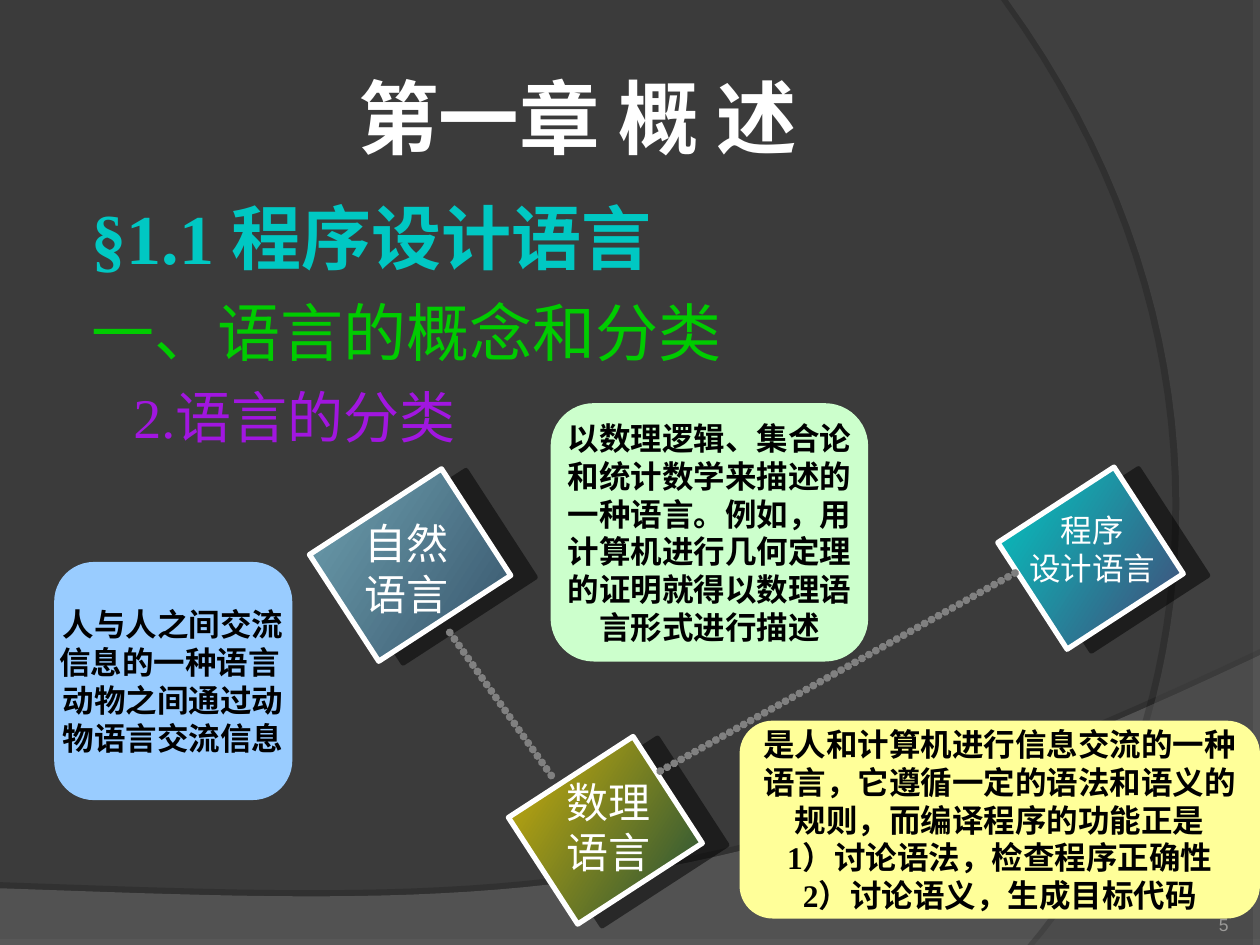
"""Build the slide on the classification of languages."""
from lxml.etree import SubElement
from pptx import Presentation
from pptx.dml.color import RGBColor
from pptx.enum.shapes import MSO_CONNECTOR, MSO_SHAPE
from pptx.enum.text import MSO_ANCHOR, MSO_AUTO_SIZE, PP_ALIGN
from pptx.oxml.ns import qn
from pptx.util import Inches, Pt

BACKGROUND = RGBColor(0x3B, 0x3B, 0x3B)
WAVE = RGBColor(0x7C, 0x7C, 0x7C)
ARC = RGBColor(0x59, 0x59, 0x59)
WHITE = RGBColor(0xFF, 0xFF, 0xFF)
BLACK = RGBColor(0, 0, 0)
GRAY = RGBColor(0x80, 0x80, 0x80)
PAGE_GRAY = RGBColor(0x9B, 0x9A, 0x98)
CYAN = RGBColor(0x00, 0xC8, 0xC3)
GREEN = RGBColor(0x00, 0xCC, 0x00)
PURPLE = RGBColor(0xA1, 0x16, 0xE0)
STEEL = RGBColor(0x6E, 0xA0, 0xB0)
NAVY = RGBColor(0x37, 0x55, 0x6B)
GOLD = RGBColor(0xCC, 0xAF, 0x0A)
FOREST = RGBColor(0x20, 0x4F, 0x3A)
INDIGO = RGBColor(0x47, 0x47, 0x76)
PALE_BLUE = RGBColor(0x99, 0xCC, 0xFF)
PALE_GREEN = RGBColor(0xCC, 0xFF, 0xCC)
PALE_YELLOW = RGBColor(0xFF, 0xFF, 0x99)

TITLE = "第一章 概 述"
OUTLINE = [
    ("§1.1 程序设计语言", dict(size=40, color=CYAN, bold=True, spacing=0.8, indent=(0.46, -0.42))),
    ("一、语言的概念和分类", dict(size=36, color=GREEN, before=9, indent=(0.46, -0.42))),
    ("2.语言的分类", dict(size=32, color=PURPLE, before=8, indent=(0.37, 0))),
]
LANGUAGES = [
    (["自然", "语言"], 24, (2.75, 3.86, 1.01, 1.25), (2.8, 4.06, 0.86, 0.9), STEEL, NAVY),
    (["数理", "语言"], 24, (4.3, 6, 1.01, 1.18), (4.4, 6.11, 0.86, 0.9), GOLD, FOREST),
    (["程序", "设计语言"], 18, (8.15, 3.88, 1.01, 1.1), (8.07, 4.01, 1.2, 0.7), CYAN, INDIGO),
]
LINKS = [(3.57, 5.02, 4.4, 6.19), (5.24, 6.12, 8.07, 4.54)]
NOTES = [
    (["人与人之间交流", "信息的一种语言 ", "动物之间通过动", "物语言交流信息"],
     (0.43, 4.46, 1.89, 1.89), PALE_BLUE, "Noto Sans CJK SC"),
    (["以数理逻辑、集合论", "和统计数学来描述的", "一种语言。例如，用",
      "计算机进行几何定理", "的证明就得以数理语", "言形式进行描述"],
     (4.37, 3.2, 2.52, 2.05), PALE_GREEN, "Arial"),
    (["是人和计算机进行信息交流的一种", "语言，它遵循一定的语法和语义的",
      "规则，而编译程序的功能正是", "1）讨论语法，检查程序正确性", "2）讨论语义，生成目标代码"],
     (5.87, 5.72, 4.13, 1.57), PALE_YELLOW, "Times New Roman"),
]
SWEEPS = [
    ([(0, 7.5), (10, 7.5)], [(10, 5.2), (5.59, 7.29), (3.91, 7.19), (0, 7.05)],
     WAVE, 45, (35, 3.5, 270)),
    ([(8, 0), (10, 0), (10, 7.5)], [(8.21, 7.5), (9.35, 6.19), (10.18, 3), (8, 0)],
     ARC, 40, (45, 4, 180)),
]
CURVE_STEPS = 40


def box(bounds):
    return [Inches(value) for value in bounds]


def write(paragraph, text, *, size, color, font="Times New Roman", bold=False,
          align=PP_ALIGN.LEFT, before=0, spacing=None, indent=None):
    paragraph.alignment = align
    paragraph.space_before = Pt(before)
    if spacing:
        paragraph.line_spacing = spacing
    if indent:
        properties = paragraph._p.get_or_add_pPr()
        properties.set("marL", str(Inches(indent[0])))
        properties.set("indent", str(Inches(indent[1])))
    run = paragraph.add_run()
    run.text = text
    run.font.size = Pt(size)
    run.font.color.rgb = color
    run.font.name = font
    run.font.bold = bold


def write_lines(frame, lines, **style):
    for index, line in enumerate(lines):
        paragraph = frame.add_paragraph() if index else frame.paragraphs[0]
        write(paragraph, line, **style)


def cast_shadow(shape, opacity, distance, direction):
    effects = SubElement(shape._element.spPr, qn("a:effectLst"))
    shadow = SubElement(effects, qn("a:outerShdw"), blurRad="0", dist=str(Pt(distance)),
                        dir=str(direction * 60000), algn="ctr", rotWithShape="0")
    color = SubElement(shadow, qn("a:srgbClr"), val=str(BLACK))
    SubElement(color, qn("a:alpha"), val=str(opacity * 1000))


def curve_points(controls):
    for step in range(CURVE_STEPS + 1):
        t = step / CURVE_STEPS
        weights = ((1 - t) ** 3, 3 * t * (1 - t) ** 2, 3 * t * t * (1 - t), t ** 3)
        yield tuple(sum(w * point[axis] for w, point in zip(weights, controls)) for axis in (0, 1))


def add_sweep(shapes, corners, controls, color, opacity, shadow):
    outline = [box(point) for point in corners + list(curve_points(controls))]
    builder = shapes.build_freeform(*outline[0])
    builder.add_line_segments(outline[1:], close=True)
    sweep = builder.convert_to_shape()
    sweep.fill.solid()
    sweep.fill.fore_color.rgb = color
    fill_color = sweep._element.spPr.find(qn("a:solidFill"))[0]
    SubElement(fill_color, qn("a:alpha"), val=str(opacity * 1000))
    sweep.line.fill.background()
    cast_shadow(sweep, *shadow)


def add_language(shapes, lines, size, bounds, label_bounds, light, dark):
    tile = shapes.add_shape(MSO_SHAPE.RECTANGLE, *box(bounds))
    tile.rotation = 57
    tile.fill.gradient()
    tile.fill.gradient_angle = 360 - 33
    for stop, color in zip(tile.fill.gradient_stops, (light, dark)):
        stop.color.rgb = color
    tile._element.spPr.find(qn("a:gradFill")).set("rotWithShape", "0")
    tile.line.color.rgb = WHITE
    tile.line.width = Pt(3)
    cast_shadow(tile, 50, 14, 4)
    label = shapes.add_textbox(*box(label_bounds)).text_frame
    label.margin_left = label.margin_right = 0
    label.word_wrap = False
    label.auto_size = MSO_AUTO_SIZE.SHAPE_TO_FIT_TEXT
    write_lines(label, lines, size=size, color=WHITE, font="Arial", align=PP_ALIGN.CENTER)


def add_link(shapes, ends):
    link = shapes.add_connector(MSO_CONNECTOR.STRAIGHT, *box(ends))
    link.line.color.rgb = GRAY
    link.line.width = Pt(4.5)
    stroke = link.line._get_or_add_ln()
    stroke.set("cap", "rnd")
    dots = SubElement(stroke, qn("a:custDash"))
    SubElement(dots, qn("a:ds"), d="100000", sp="1000")
    SubElement(link._element.spPr, qn("a:effectLst"))


def add_note(shapes, lines, bounds, color, font):
    note = shapes.add_shape(MSO_SHAPE.ROUNDED_RECTANGLE, *box(bounds))
    note.shadow.inherit = False
    note.fill.solid()
    note.fill.fore_color.rgb = color
    note.line.fill.background()
    note.text_frame.word_wrap = False
    note.text_frame.vertical_anchor = MSO_ANCHOR.MIDDLE
    write_lines(note.text_frame, lines, size=18, color=BLACK, font=font, bold=True,
                align=PP_ALIGN.CENTER)


def main():
    deck = Presentation()
    deck.slide_width, deck.slide_height = Inches(10), Inches(7.5)
    slide = deck.slides.add_slide(deck.slide_layouts[5])
    slide.background.fill.solid()
    slide.background.fill.fore_color.rgb = BACKGROUND
    shapes = slide.shapes
    for sweep in SWEEPS:
        add_sweep(shapes, *sweep)

    page = shapes.add_textbox(*box((8.92, 7.02, 0.83, 0.4))).text_frame
    page.margin_left = page.margin_right = page.margin_top = page.margin_bottom = 0
    page.vertical_anchor = MSO_ANCHOR.BOTTOM
    write(page.paragraphs[0], "5", size=10, color=PAGE_GRAY, font="Arial", align=PP_ALIGN.RIGHT)

    title = shapes.title
    title.left, title.top, title.width, title.height = box((0.5, 0.3, 8.17, 1.25))
    title.text_frame.vertical_anchor = MSO_ANCHOR.MIDDLE
    title.text_frame.margin_left = title.text_frame.margin_right = Inches(0.05)
    write(title.text_frame.paragraphs[0], TITLE, size=46, color=WHITE, font="Cabin", bold=True,
          align=PP_ALIGN.CENTER)

    outline = shapes.add_textbox(*box((0.59, 1.62, 8.9, 2.13))).text_frame
    outline.word_wrap = True
    for index, (text, style) in enumerate(OUTLINE):
        paragraph = outline.add_paragraph() if index else outline.paragraphs[0]
        write(paragraph, text, **style)

    for language in LANGUAGES:
        add_language(shapes, *language)
    for ends in LINKS:
        add_link(shapes, ends)
    for note in NOTES:
        add_note(shapes, *note)
    deck.save("out.pptx")


if __name__ == "__main__":
    main()
